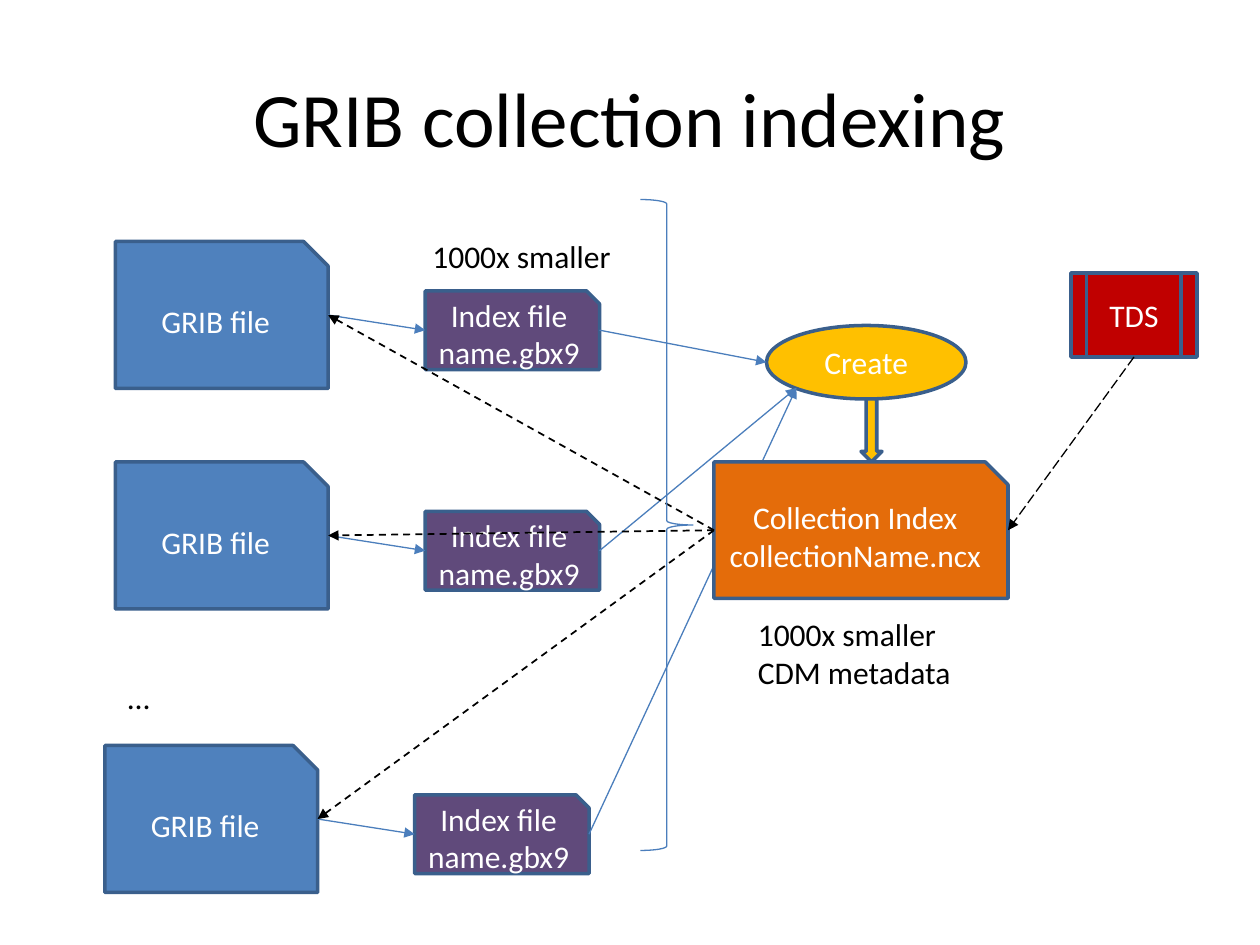
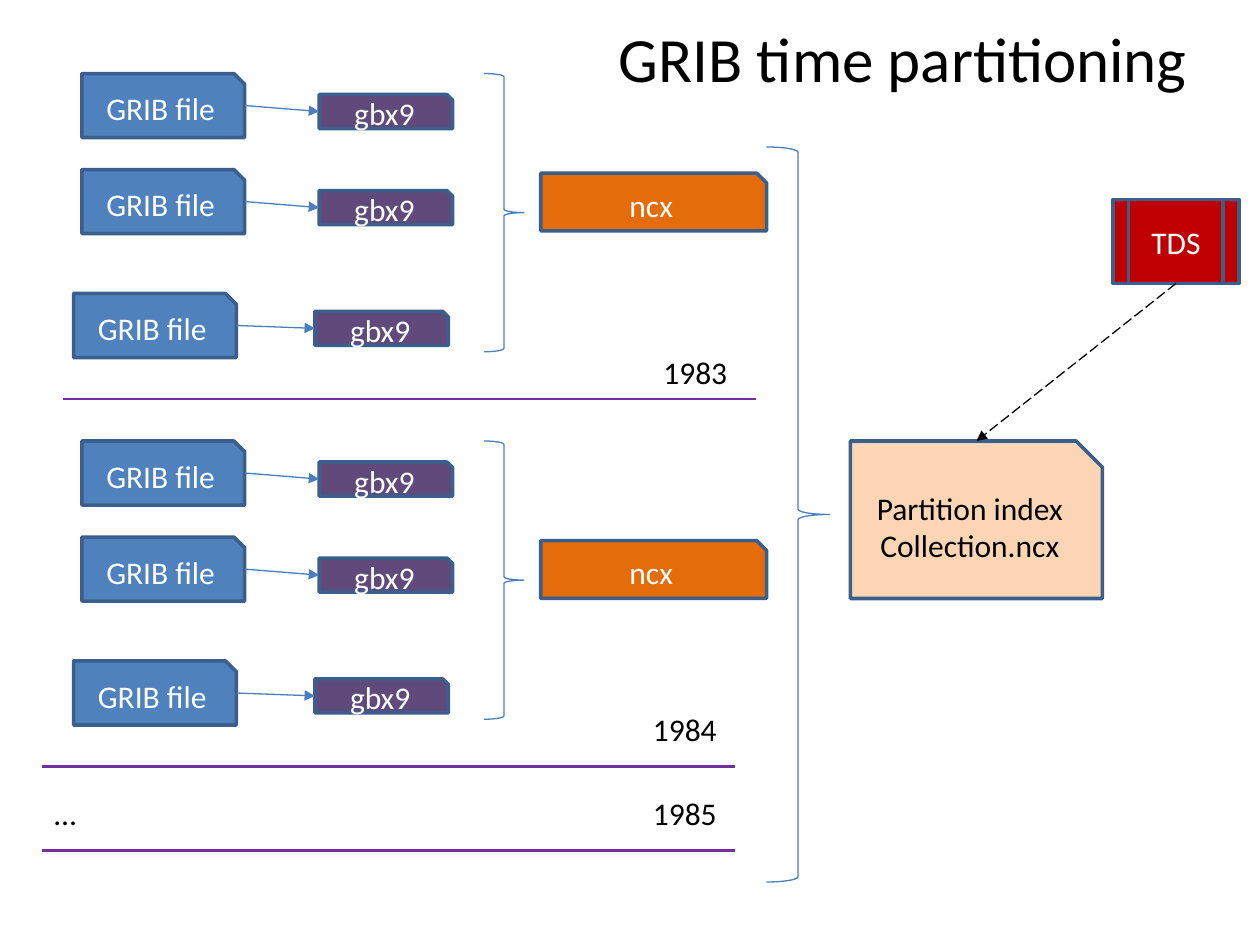
from lxml.etree import SubElement
from pptx import Presentation
from pptx.dml.color import RGBColor
from pptx.enum.dml import MSO_LINE as Dash
from pptx.enum.shapes import MSO_CONNECTOR as Link, MSO_SHAPE as Form
from pptx.enum.text import MSO_ANCHOR as Anchor, PP_ALIGN as Align
from pptx.oxml.ns import qn
from pptx.util import Inches, Pt

COLUMNS, ROWS = 120, 90
LEFT, RIGHT, TOP, BOTTOM = (0, 0.5), (1, 0.5), (0.5, 0), (0.5, 1)
LOWER_LEFT = (0.15, 0.85)


def color(hex_text):
    return RGBColor.from_string(hex_text)


class Diagram:
    font = "Calibri"
    black, white = "000000", "FFFFFF"
    outline, thin = "3A5F8C", "4B7EBC"
    grib_fill, index_fill, collection_fill = "4F81BD", "604A7B", "E46C0A"
    partition_fill, create_fill, tds_fill = "FCD5B5", "FFC000", "C00000"
    divider = "7030A0"

    def __init__(self):
        self.deck = Presentation()
        self.deck.slide_width, self.deck.slide_height = Inches(10), Inches(7.5)
        self.slide = None

    def new_slide(self):
        self.slide = self.deck.slides.add_slide(self.deck.slide_layouts[6])

    def grid(self, column, row):
        return (int(self.deck.slide_width * column / COLUMNS),
                int(self.deck.slide_height * row / ROWS))

    def point(self, shape, side):
        across, down = side
        return (int(shape.left + shape.width * across),
                int(shape.top + shape.height * down))

    def set_text(self, shape, lines, ink, size=18, align=Align.CENTER,
                 anchor=Anchor.MIDDLE, wrap=True):
        frame = shape.text_frame
        frame.word_wrap = wrap
        frame.vertical_anchor = anchor
        for number, line in enumerate(lines):
            paragraph = frame.add_paragraph() if number else frame.paragraphs[0]
            paragraph.alignment = align
            run = paragraph.add_run()
            run.text = line
            run.font.name, run.font.size = self.font, Pt(size)
            run.font.color.rgb = color(ink)

    def text_box(self, place, size):
        return self.slide.shapes.add_textbox(*self.grid(*place), *self.grid(*size))

    def title(self, text, place, size, points):
        self.set_text(self.text_box(place, size), [text], self.black, points)

    def label(self, lines, place, size, wrap=True):
        self.set_text(self.text_box(place, size), lines, self.black,
                      align=Align.LEFT, anchor=Anchor.TOP, wrap=wrap)

    def outlined(self, form, place, size, ink, width):
        shape = self.slide.shapes.add_shape(form, *self.grid(*place), *self.grid(*size))
        shape.shadow.inherit = False
        shape.line.color.rgb = color(ink)
        shape.line.width = Pt(width)
        return shape

    def node(self, lines, place, size, fill, form=Form.SNIP_1_RECTANGLE, ink=white):
        shape = self.outlined(form, place, size, self.outline, 2)
        shape.fill.solid()
        shape.fill.fore_color.rgb = color(fill)
        self.set_text(shape, lines, ink)
        return shape

    def brace(self, place, size):
        self.outlined(Form.RIGHT_BRACE, place, size, self.thin, 0.75).fill.background()

    def tds(self, place):
        return self.node(["TDS"], place, (12, 8), self.tds_fill,
                         Form.PREDEFINED_PROCESS if hasattr(Form, "PREDEFINED_PROCESS")
                         else Form.FLOWCHART_PREDEFINED_PROCESS)

    def line(self, start, end, ink, width, dash=None):
        connector = self.slide.shapes.add_connector(Link.STRAIGHT, *start, *end)
        connector.line.color.rgb = color(ink)
        connector.line.width = Pt(width)
        if dash:
            connector.line.dash_style = dash
        SubElement(connector._element.spPr, qn("a:effectLst"))
        return connector

    def arrow(self, source, target, ends=(RIGHT, LEFT), ink=thin, width=0.75, dash=None):
        connector = self.line(self.point(source, ends[0]), self.point(target, ends[1]),
                              ink, width, dash)
        stroke = connector._element.spPr.find(qn("a:ln"))
        SubElement(stroke, qn("a:tailEnd"), type="triangle")

    def rule(self, column, row):
        self.line(self.grid(column, row), self.grid(column + 66, row), self.divider, 1.5)

    def indexed_grib(self, place, size, lines, offset, index_size):
        column, row = place
        index = self.node(lines, (column + offset[0], row + offset[1]),
                          index_size, self.index_fill)
        grib = self.node(["GRIB file"], place, size, self.grib_fill)
        self.arrow(grib, index)
        return grib, index


def indexing(art):
    art.new_slide()
    art.title("GRIB collection indexing", (6, 3.6), (108, 15), 44)
    pairs = [art.indexed_grib(place, (20.25, 14), ["Index file", "name.gbx9"],
                              (29.5, 4.7), (16.6, 7.5))
             for place in ((11, 23), (11, 44), (10, 71))]
    art.label(["…"], (11, 64), (4.6, 4.8), wrap=False)
    art.label(["1000x smaller"], (40, 22), (27, 4.8))

    create = art.node(["Create"], (73, 31), (19, 7), art.create_fill, Form.OVAL)
    art.node([], (82, 38), (2, 6), art.create_fill, Form.DOWN_ARROW)
    for (grib, index), side in zip(pairs, (LEFT, LOWER_LEFT, LOWER_LEFT)):
        art.arrow(index, create, (RIGHT, side))

    tds = art.tds((102, 26))
    collection = art.node(["Collection Index", "collectionName.ncx"],
                          (68, 44), (28, 13), art.collection_fill)
    art.arrow(tds, collection, (BOTTOM, RIGHT), art.black, 0.75, Dash.LONG_DASH)
    for grib, index in pairs:
        art.arrow(collection, grib, (LEFT, RIGHT), art.black, 1, Dash.DASH)
    art.brace((61, 19), (5, 62))
    art.label(["1000x smaller", "CDM metadata"], (71, 58), (25, 8.5))


def year_collection(art, top):
    for column, row, offset in ((7.8, 0, (22.6, 2)), (7.8, 9.15, (22.6, 2)),
                                (7, 20.95, (23, 1.7))):
        art.indexed_grib((column, top + row), (15.5, 6.1), ["gbx9"], offset, (12.7, 3.25))
    art.brace((46.1, top), (3.8, 26.5))
    art.node(["ncx"], (51.5, top + 9.5), (21.5, 5.5), art.collection_fill)


def partitioning(art):
    art.new_slide()
    art.title("GRIB time partitioning", (45, -2), (82, 15), 36)
    tds = art.tds((106, 19))
    for top in (7, 42):
        year_collection(art, top)
    for place in ((6, 38), (4, 73), (4, 81)):
        art.rule(*place)
    art.label(["…"], (4, 75), (22, 4.8))
    for year, place in (("1983", (62, 33)), ("1984", (61, 67)), ("1985", (61, 75))):
        art.label([year], place, (8.5, 4.8), wrap=False)
    art.brace((73, 14), (6, 70))
    partition = art.node(["Partition index", "Collection.ncx"], (81, 42), (24, 15),
                         art.partition_fill, ink=art.black)
    art.arrow(tds, partition, (BOTTOM, TOP), art.black, 0.75, Dash.LONG_DASH)


def main():
    art = Diagram()
    indexing(art)
    partitioning(art)
    art.deck.save("out.pptx")


if __name__ == "__main__":
    main()
